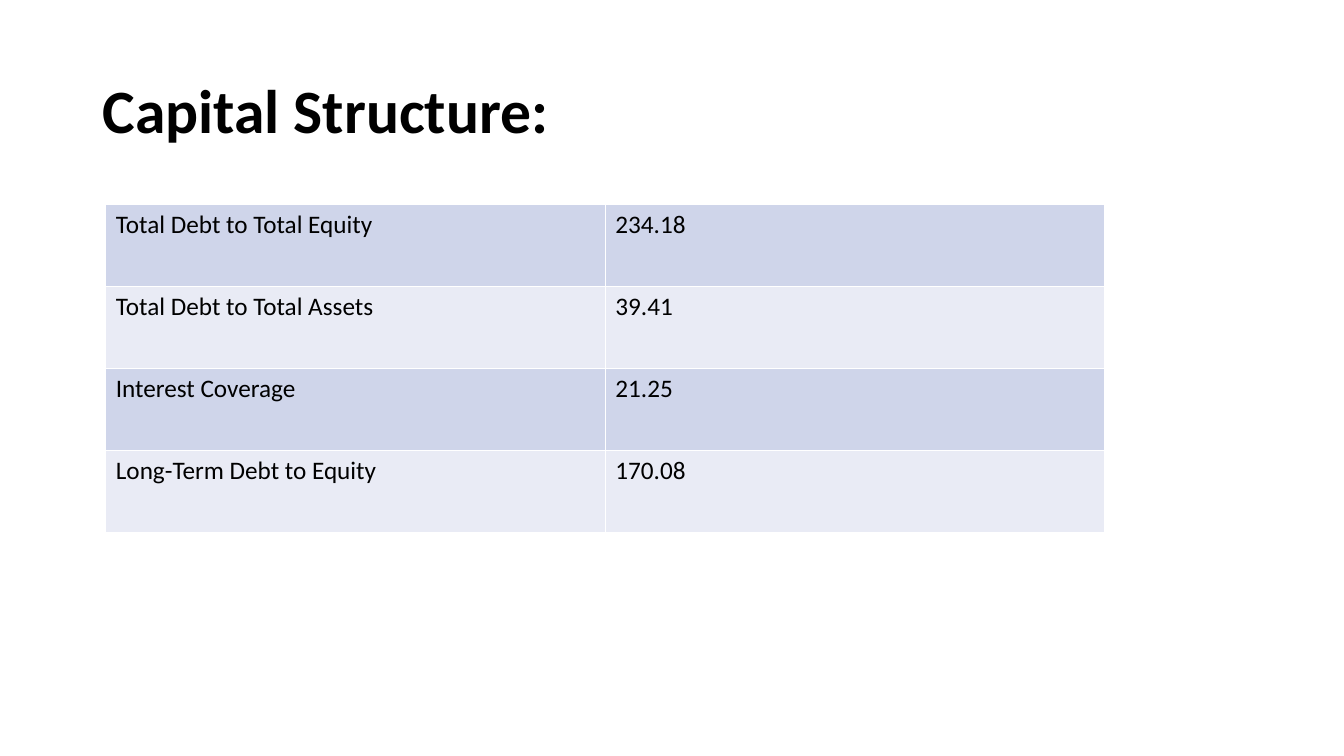
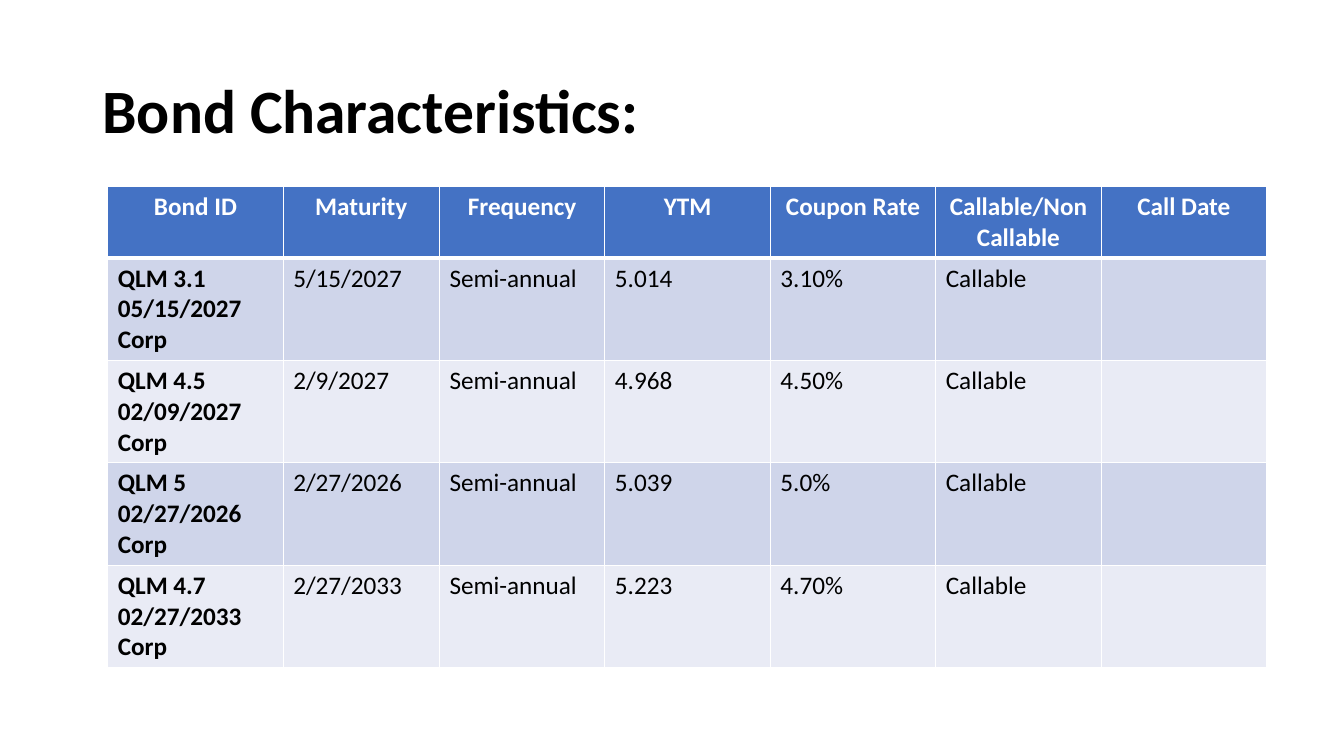
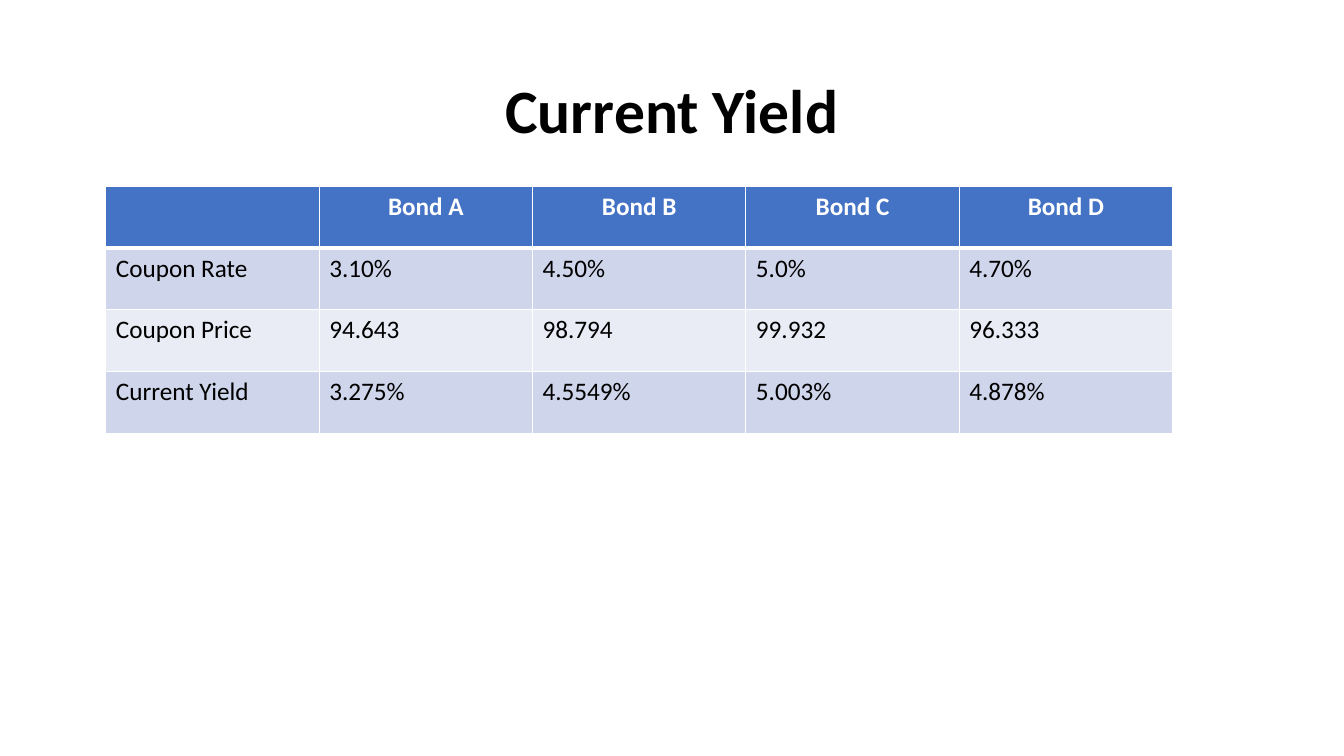
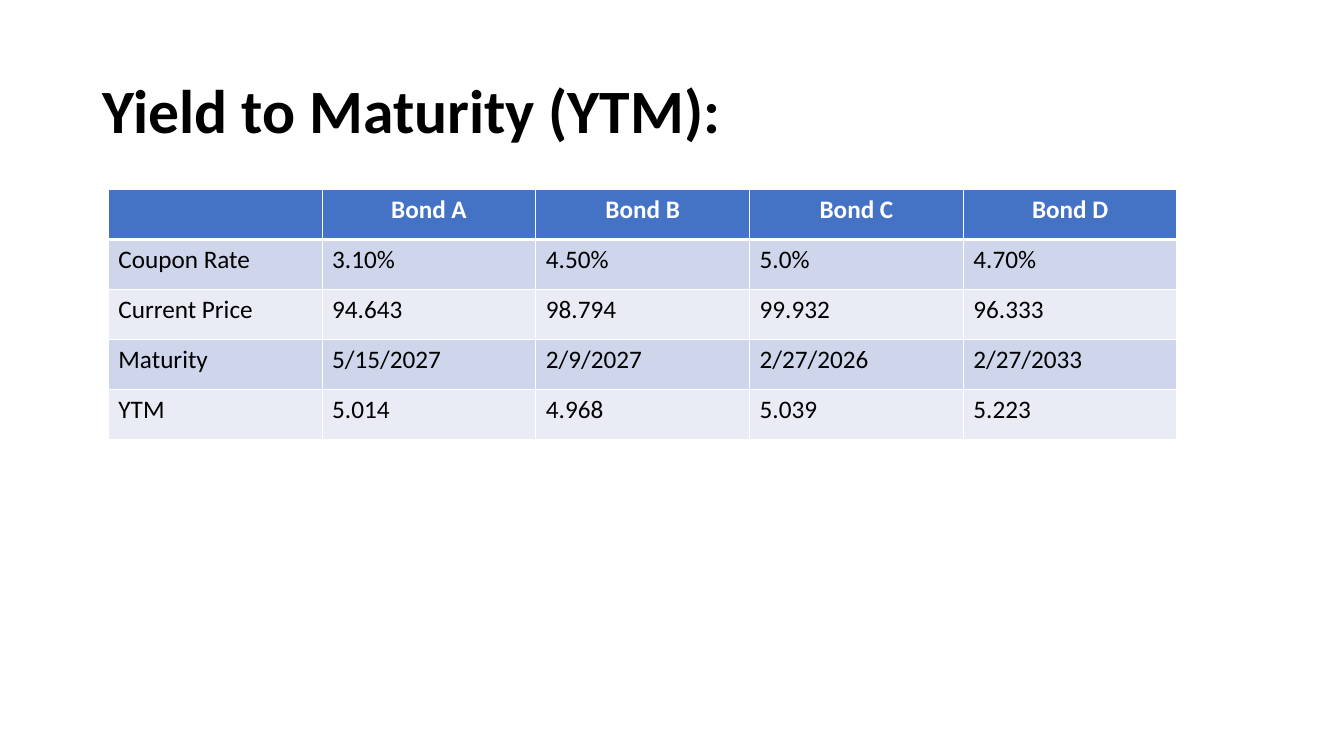
from lxml import etree
from pptx import Presentation
from pptx.dml.color import RGBColor
from pptx.enum.text import MSO_ANCHOR, MSO_AUTO_SIZE, PP_ALIGN
from pptx.oxml.ns import qn
from pptx.util import Pt

LEFT, CENTER, JUSTIFY = PP_ALIGN.LEFT, PP_ALIGN.CENTER, PP_ALIGN.JUSTIFY
MIDDLE = MSO_ANCHOR.MIDDLE
NO_AUTOFIT = MSO_AUTO_SIZE.NONE

BLACK = RGBColor(0x00, 0x00, 0x00)
WHITE = RGBColor(0xFF, 0xFF, 0xFF)
HEADER = RGBColor(0x44, 0x72, 0xC4)
BANDS = [RGBColor(0xCF, 0xD5, 0xEA), RGBColor(0xE9, 0xEB, 0xF5)]
FONT = "Calibri"


def format_paragraph(p, size, color, bold, align):
    p.alignment = align
    for r in p.runs:
        r.font.name = FONT
        r.font.size = Pt(size)
        r.font.bold = bold
        r.font.color.rgb = color


def add_border(cell, side, width):
    ln = etree.SubElement(cell._tc.get_or_add_tcPr(), qn("a:" + side), w=str(Pt(width)))
    fill = etree.SubElement(ln, qn("a:solidFill"))
    etree.SubElement(fill, qn("a:srgbClr"), val=str(WHITE))


BONDS = ["", "Bond A", "Bond B", "Bond C", "Bond D"]
COUPONS = ["Coupon Rate", "3.10%", "4.50%", "5.0%", "4.70%"]
PRICES = ["94.643", "98.794", "99.932", "96.333"]

SLIDES = [
    {
        "title": "Capital Structure:", "title_align": LEFT,
        "left": 75.6, "top": 146.2, "cols": [356.8] * 2, "heights": [58.5] * 4,
        "header": False, "bold_first": False, "align": JUSTIFY,
        "rows": [
            ["Total Debt to Total Equity", "234.18"],
            ["Total Debt to Total Assets", "39.41"],
            ["Interest Coverage", "21.25"],
            ["Long-Term Debt to Equity", "170.08"],
        ],
    },
    {
        "title": "Bond Characteristics:", "title_align": LEFT,
        "left": 77, "top": 133.2, "cols": [125.3, 111.6] + [118.2] * 5,
        "heights": [51] + [73] * 4,
        "header": True, "bold_first": True, "align": LEFT,
        "rows": [
            ["Bond ID", "Maturity", "Frequency", "YTM", "Coupon Rate",
             "Callable/Non Callable", "Call Date"],
            ["QLM 3.1 05/15/2027 Corp", "5/15/2027", "Semi-annual", "5.014", "3.10%", "Callable", ""],
            ["QLM 4.5 02/09/2027 Corp", "2/9/2027", "Semi-annual", "4.968", "4.50%", "Callable", ""],
            ["QLM 5 02/27/2026 Corp", "2/27/2026", "Semi-annual", "5.039", "5.0%", "Callable", ""],
            ["QLM 4.7 02/27/2033 Corp", "2/27/2033", "Semi-annual", "5.223", "4.70%", "Callable", ""],
        ],
    },
    {
        "title": "Current Yield", "title_align": CENTER,
        "left": 75.6, "top": 133.2, "cols": [152.4] * 5, "heights": [44.1] * 4,
        "header": True, "bold_first": False, "align": LEFT,
        "rows": [
            BONDS,
            COUPONS,
            ["Coupon Price"] + PRICES,
            ["Current Yield", "3.275%", "4.5549%", "5.003%", "4.878%"],
        ],
    },
    {
        "title": "Yield to Maturity (YTM):", "title_align": LEFT,
        "left": 77.4, "top": 135.4, "cols": [152.7] * 5, "heights": [35.7] * 5,
        "header": True, "bold_first": False, "align": LEFT,
        "rows": [
            BONDS,
            COUPONS,
            ["Current Price"] + PRICES,
            ["Maturity", "5/15/2027", "2/9/2027", "2/27/2026", "2/27/2033"],
            ["YTM", "5.014", "4.968", "5.039", "5.223"],
        ],
    },
]

prs = Presentation()
prs.slide_width = Pt(960)
prs.slide_height = Pt(540)
layout = prs.slide_layouts[5]

for data in SLIDES:
    s = prs.slides.add_slide(layout)
    title = s.shapes.title
    title.left, title.top, title.width, title.height = Pt(66), Pt(28.75), Pt(828), Pt(104.4)
    tf = title.text_frame
    tf.text = data["title"]
    tf.word_wrap = True
    tf.auto_size = NO_AUTOFIT
    tf.vertical_anchor = MIDDLE
    p = tf.paragraphs[0]
    p.line_spacing = 0.9
    format_paragraph(p, 44, BLACK, True, data["title_align"])

    rows, cols, heights = data["rows"], data["cols"], data["heights"]
    table = s.shapes.add_table(
        len(rows), len(cols), Pt(data["left"]), Pt(data["top"]),
        Pt(sum(cols)), Pt(sum(heights))).table
    table.first_row = data["header"]
    table.first_col = data["bold_first"]
    for col, width in zip(table.columns, cols):
        col.width = Pt(width)

    for i, values in enumerate(rows):
        table.rows[i].height = Pt(heights[i])
        is_header = data["header"] and i == 0
        below_header = data["header"] and i == 1
        band = BANDS[(i - data["header"]) % 2]
        for j, value in enumerate(values):
            cell = table.cell(i, j)
            add_border(cell, "lnL", 1)
            add_border(cell, "lnR", 1)
            add_border(cell, "lnT", 3 if below_header else 1)
            add_border(cell, "lnB", 3 if is_header else 1)
            cell.fill.solid()
            cell.fill.fore_color.rgb = HEADER if is_header else band
            cell.text_frame.text = value
            p = cell.text_frame.paragraphs[0]
            if is_header:
                format_paragraph(p, 18, WHITE, True, CENTER)
            else:
                format_paragraph(p, 18, BLACK, data["bold_first"] and j == 0, data["align"])

prs.save("out.pptx")
